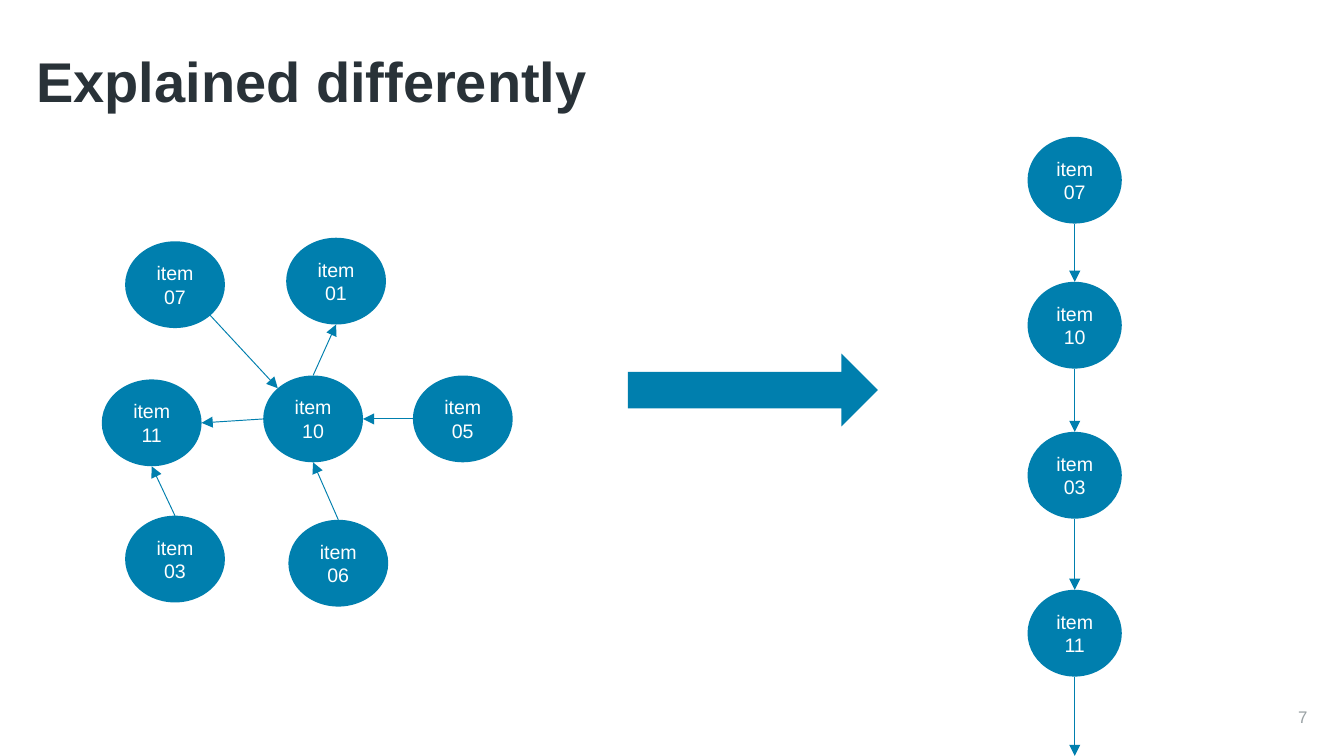
from dataclasses import dataclass

from lxml.etree import SubElement
from pptx import Presentation
from pptx.dml.color import RGBColor
from pptx.enum.shapes import MSO_CONNECTOR, MSO_SHAPE
from pptx.enum.text import MSO_ANCHOR, PP_ALIGN
from pptx.oxml.ns import qn
from pptx.shapes.autoshape import Shape
from pptx.slide import Slide
from pptx.util import Pt

BLUE = RGBColor(0x00, 0x7F, 0xAE)
DARK = RGBColor(0x29, 0x32, 0x38)
GRAY = RGBColor(0x9A, 0xA2, 0xA5)
WHITE = RGBColor(0xFF, 0xFF, 0xFF)

SLIDE_W, SLIDE_H = 720, 405
NODE_H = 46.5
GRAPH_W, CHAIN_W = 53.5, 50.5
CHAIN_X = 550.5
DIAGONAL = 0.5 ** 0.5

TITLE_FONT = {"name": "Arial", "size": Pt(30), "bold": True}
NODE_FONT = {"name": "Arial", "size": Pt(10.5)}
NUMBER_FONT = {"name": "Arial", "size": Pt(9)}

# Directions from a node's centre to its rim, in half widths and half heights
TOP, BOTTOM, LEFT, RIGHT = (0, -1), (0, 1), (-1, 0), (1, 0)
TOP_LEFT, BOTTOM_RIGHT = (-DIAGONAL, -DIAGONAL), (DIAGONAL, DIAGONAL)


@dataclass(frozen=True)
class Node:
    number: str
    x: float
    y: float
    w: float = GRAPH_W

    def rim(self, side: tuple[float, float]) -> tuple[float, float]:
        return (self.x + self.w / 2 * (1 + side[0]),
                self.y + NODE_H / 2 * (1 + side[1]))


GRAPH = {n.number: n for n in (
    Node("07", 67, 129.3), Node("10", 141, 201.2), Node("03", 67, 276.3),
    Node("11", 54.5, 203.3), Node("01", 153.3, 127.4),
    Node("06", 154.5, 278.5), Node("05", 221.2, 201.2))}
EDGES = (
    ("07", BOTTOM_RIGHT, "10", TOP_LEFT),
    ("10", LEFT, "11", RIGHT),
    ("03", TOP, "11", BOTTOM),
    ("10", TOP, "01", BOTTOM),
    ("06", TOP, "10", BOTTOM),
    ("05", LEFT, "10", RIGHT))
CHAIN = [Node(number, CHAIN_X, y, CHAIN_W) for number, y in
         (("07", 73.3), ("10", 151), ("03", 231.4), ("11", 316))]


def write(sp: Shape, text: str, font: dict, color: RGBColor, align: PP_ALIGN) -> None:
    p = sp.text_frame.paragraphs[0]
    p.alignment = align
    r = p.add_run()
    r.text = text
    for name, value in font.items():
        setattr(r.font, name, value)
    r.font.color.rgb = color


def add_text(s: Slide, box: tuple, text: str, font: dict, color: RGBColor,
             align: PP_ALIGN, anchor: MSO_ANCHOR, inset_top: float = 0) -> None:
    sp = s.shapes.add_textbox(*map(Pt, box))
    frame = {"word_wrap": True, "vertical_anchor": anchor, "margin_left": 0,
             "margin_right": 0, "margin_bottom": 0, "margin_top": Pt(inset_top)}
    for name, value in frame.items():
        setattr(sp.text_frame, name, value)
    write(sp, text, font, color, align)


def add_solid(s: Slide, kind: MSO_SHAPE, x: float, y: float, w: float, h: float) -> Shape:
    sp = s.shapes.add_shape(kind, Pt(x), Pt(y), Pt(w), Pt(h))
    sp.shadow.inherit = False
    sp.fill.solid()
    sp.fill.fore_color.rgb = BLUE
    sp.line.fill.background()
    return sp


def add_node(s: Slide, node: Node) -> Shape:
    sp = add_solid(s, MSO_SHAPE.OVAL, node.x, node.y, node.w, NODE_H)
    sp.text_frame.word_wrap = True
    sp.text_frame.vertical_anchor = MSO_ANCHOR.MIDDLE
    write(sp, f"item {node.number}", NODE_FONT, WHITE, PP_ALIGN.CENTER)
    return sp


def add_arrow(s: Slide, start: tuple[float, float], end: tuple[float, float],
              begin_top: Shape | None = None, end_top: Shape | None = None) -> None:
    """Draw a thin arrow, glued to the top of the nodes given."""
    c = s.shapes.add_connector(MSO_CONNECTOR.STRAIGHT, *map(Pt, start + end))
    c.line.color.rgb = BLUE
    c.line.width = Pt(0.5)
    SubElement(c.line._get_or_add_ln(), qn("a:tailEnd"), type="triangle")
    SubElement(c._element.spPr, qn("a:effectLst"))
    if begin_top is not None:
        c.begin_connect(begin_top, 0)
    if end_top is not None:
        c.end_connect(end_top, 0)


def add_graph(s: Slide) -> None:
    ovals = {number: add_node(s, node) for number, node in GRAPH.items()}
    for source, out_side, target, in_side in EDGES:
        add_arrow(s, GRAPH[source].rim(out_side), GRAPH[target].rim(in_side),
                  begin_top=ovals[source] if out_side == TOP else None)


def add_chain(s: Slide) -> None:
    ovals = [add_node(s, node) for node in CHAIN]
    for node, following, oval in zip(CHAIN, CHAIN[1:], ovals[1:]):
        add_arrow(s, node.rim(BOTTOM), following.rim(TOP), end_top=oval)
    x, y = CHAIN[-1].rim(BOTTOM)
    add_arrow(s, (x, y), (x, SLIDE_H))


def main() -> None:
    prs = Presentation()
    prs.slide_width, prs.slide_height = Pt(SLIDE_W), Pt(SLIDE_H)
    s = prs.slides.add_slide(prs.slide_layouts[6])
    add_text(s, (19.5, 15, 680.5, 90.5), "Explained differently", TITLE_FONT, DARK,
             PP_ALIGN.LEFT, MSO_ANCHOR.TOP, inset_top=10)
    add_text(s, (592.5, 378, 108, 11.5), "7", NUMBER_FONT, GRAY,
             PP_ALIGN.RIGHT, MSO_ANCHOR.BOTTOM)
    add_graph(s)
    add_solid(s, MSO_SHAPE.RIGHT_ARROW, 336.3, 189.5, 134, 39)
    add_chain(s)
    prs.save("out.pptx")


if __name__ == "__main__":
    main()
